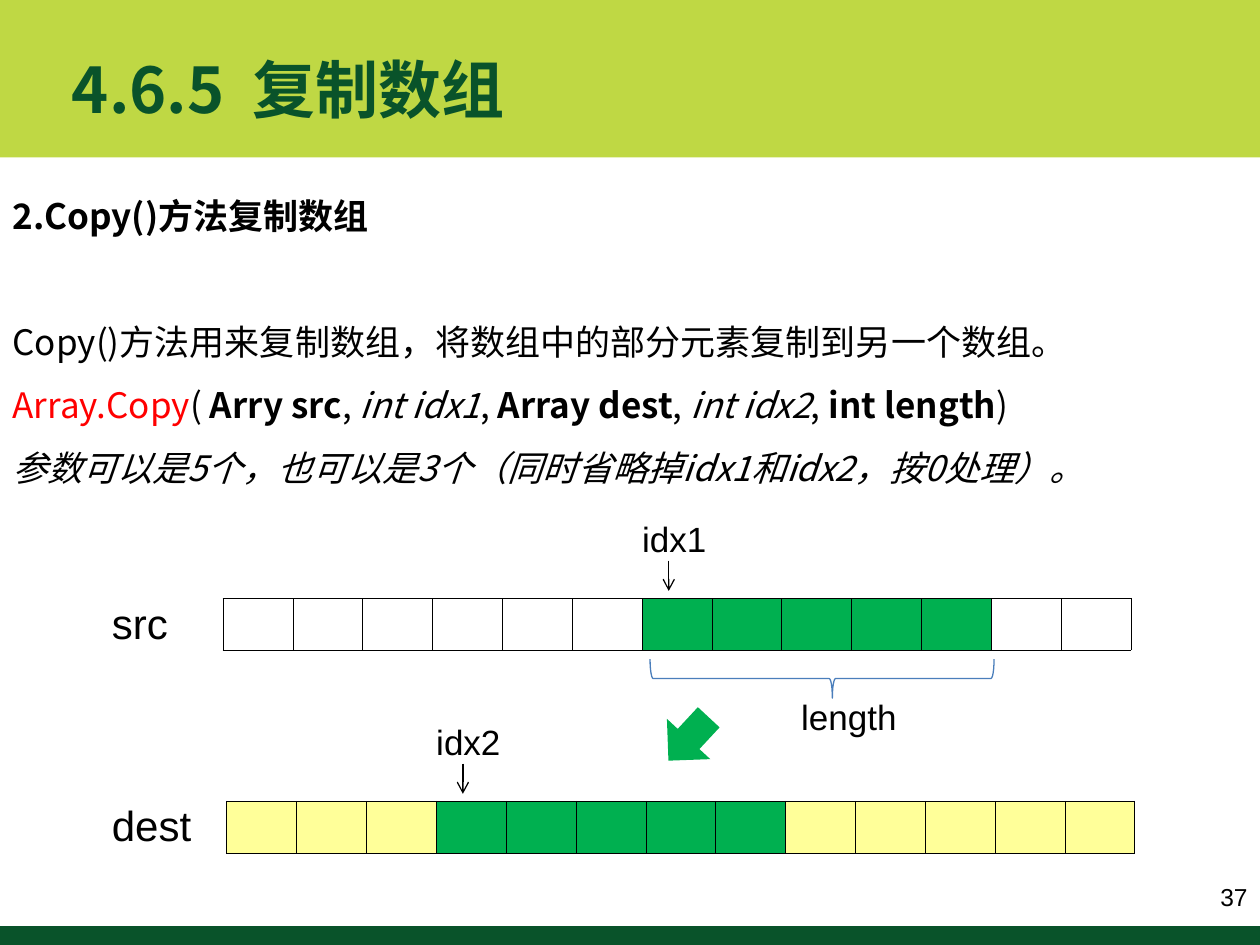
from lxml.etree import SubElement
from pptx import Presentation
from pptx.dml.color import RGBColor
from pptx.enum.shapes import MSO_CONNECTOR as Connector, MSO_SHAPE as Shape
from pptx.enum.text import MSO_ANCHOR as Anchor, MSO_AUTO_SIZE as AutoSize, PP_ALIGN as Align
from pptx.oxml.ns import qn
from pptx.util import Inches, Pt

LIME = RGBColor(0xBF, 0xD8, 0x44)
DARK_GREEN = RGBColor(0x09, 0x53, 0x2A)
GREEN = RGBColor(0x00, 0xB0, 0x50)
YELLOW = RGBColor(0xFF, 0xFF, 0x99)
WHITE = RGBColor(0xFF, 0xFF, 0xFF)
BLACK = RGBColor(0, 0, 0)
RED = RGBColor(0xFF, 0, 0)
BLUE = RGBColor(0x4A, 0x7E, 0xBB)
LATIN, CHINESE = "Arial", "Noto Sans CJK SC"

# Content: a paragraph is a list of (text, format) runs
BOLD, ITALIC = {"bold": True}, {"italic": True}
TITLE = [[("4.6.5  复制数组", BOLD)]]
BODY = [
    [("2.Copy()方法复制数组", BOLD)],
    [("Copy()方法用来复制数组，将数组中的部分元素复制到另一个数组。", {})],
    [("Array.Copy", {"color": RED}), ("( ", {}), ("Arry src", BOLD), (", ", {}),
     ("int idx1", ITALIC), (", ", {}), ("Array dest", BOLD), (", ", {}),
     ("int idx2", ITALIC), (", ", {}), ("int length", BOLD), (")", {})],
    [("参数可以是5个，也可以是3个（同时省略掉idx1和idx2，按0处理）。", ITALIC)],
]
CELL_COUNT, COPY_LENGTH = 13, 5
ARRAY_WIDTH, ARRAY_HEIGHT = 7.21, 0.41
ARRAYS = [  # name, name width, index name, first copied cell, left, top, cell colour
    ("src", 0.64, "idx1", 6, 1.77, 4.75, WHITE),
    ("dest", 0.83, "idx2", 3, 1.8, 6.36, YELLOW),
]

presentation = Presentation()
presentation.slide_width, presentation.slide_height = Inches(10), Inches(7.5)
slide = presentation.slides.add_slide(presentation.slide_layouts[1])
shapes = slide.shapes


def box(left, top, width, height):
    return [Inches(value) for value in (left, top, width, height)]


def write(shape, paragraphs, size, font=LATIN, color=BLACK, align=Align.LEFT,
          anchor=Anchor.TOP, wrap=True, line_spacing=1.0):
    frame = shape.text_frame
    frame.auto_size = AutoSize.NONE
    frame.word_wrap, frame.vertical_anchor = wrap, anchor
    for index, runs in enumerate(paragraphs):
        paragraph = frame.add_paragraph() if index else frame.paragraphs[0]
        paragraph.alignment, paragraph.line_spacing = align, line_spacing
        paragraph.space_before = paragraph.space_after = Pt(0)
        for text, style in runs:
            run = paragraph.add_run()
            run.text = text
            run.font.name, run.font.size = font, Pt(size)
            run.font.bold = style.get("bold", False)
            run.font.italic = style.get("italic", False)
            run.font.color.rgb = style.get("color", color)
            SubElement(run.font._element, qn("a:ea"), typeface=font)
    return frame


def add_label(text, place, size, **style):
    write(shapes.add_textbox(*box(*place)), [[(text, {})]], size, **style)


def add_preset(kind, place, fill=None, line=None, rotation=0):
    shape = shapes.add_shape(kind, *box(*place))
    shape.shadow.inherit = False
    shape.rotation = rotation
    if fill is None:
        shape.fill.background()
    else:
        shape.fill.solid()
        shape.fill.fore_color.rgb = fill
    if line is None:
        shape.line.fill.background()
    else:
        shape.line.color.rgb, shape.line.width = line, Pt(0.75)
    return shape


def add_pointer(x, top, bottom):
    arrow = shapes.add_connector(Connector.STRAIGHT, Inches(x), Inches(top), Inches(x), Inches(bottom))
    arrow.line.color.rgb, arrow.line.width = BLACK, Pt(0.75)
    SubElement(arrow.line._get_or_add_ln(), qn("a:tailEnd"), type="arrow")
    SubElement(arrow._element.spPr, qn("a:effectLst"))


def add_array(left, top, first, color):
    table = shapes.add_table(1, CELL_COUNT, *box(left, top, ARRAY_WIDTH, ARRAY_HEIGHT)).table
    for index, cell in enumerate(table.rows[0].cells):
        table.columns[index].width = Inches(ARRAY_WIDTH / CELL_COUNT)
        properties = cell._tc.get_or_add_tcPr()
        for side in ("lnL", "lnR", "lnT", "lnB"):
            border = SubElement(properties, qn("a:" + side), w=str(Pt(0.45)))
            fill = SubElement(border, qn("a:solidFill"))
            SubElement(fill, qn("a:srgbClr"), val=str(BLACK))
        cell.fill.solid()
        copied = first <= index < first + COPY_LENGTH
        cell.fill.fore_color.rgb = GREEN if copied else color


# Background bands, placed behind the placeholders
for position, (place, color) in enumerate([((0, 0, 10, 1.25), LIME), ((0, 7.35, 10, 0.15), DARK_GREEN)]):
    band = add_preset(Shape.RECTANGLE, place, fill=color)
    shapes._spTree.insert(2 + position, band._element)

# Title and body
title, body = shapes.title, slide.placeholders[1]
title.left, title.top, title.width, title.height = box(0.47, 0.23, 8.67, 0.95)
body.left, body.top, body.width, body.height = box(0, 1.33, 9.69, 2.6)
write(title, TITLE, 36, font=CHINESE, color=DARK_GREEN, anchor=Anchor.MIDDLE)
body_frame = write(body, BODY, 20, font=CHINESE, line_spacing=1.5)
for paragraph in body_frame.paragraphs:
    properties = paragraph._p.get_or_add_pPr()
    properties.set("marL", "0")
    properties.set("indent", "0")
    SubElement(properties, qn("a:buNone"))
body_frame.paragraphs[0].space_after = Pt(36)

# Page number
add_label("37", (9.22, 6.88, 0.78, 0.47), 14, align=Align.RIGHT, anchor=Anchor.MIDDLE)

# Arrays with their names and index pointers
for name, name_width, index_name, first, left, top, color in ARRAYS:
    add_array(left, top, first, color)
    start = left + first * ARRAY_WIDTH / CELL_COUNT
    add_pointer(start + 0.21, top - 0.3, top - 0.06)
    add_label(index_name, (start - 0.1, top - 0.69, 0.71, 0.44), 20, wrap=False)
    add_label(name, (0.79, top - 0.06, name_width, 0.5), 24, wrap=False)

# Copied length and direction
brace = add_preset(Shape.LEFT_BRACE, (6.37, 4.02, 0.31, 2.73), line=BLUE, rotation=270)
brace.adjustments[0], brace.adjustments[1] = 0.08, 0.53
add_label("length", (6.26, 5.47, 0.96, 0.44), 20, wrap=False)
add_preset(Shape.DOWN_ARROW, (5.23, 5.63, 0.47, 0.47), fill=GREEN, rotation=42.9)

presentation.save("out.pptx")
